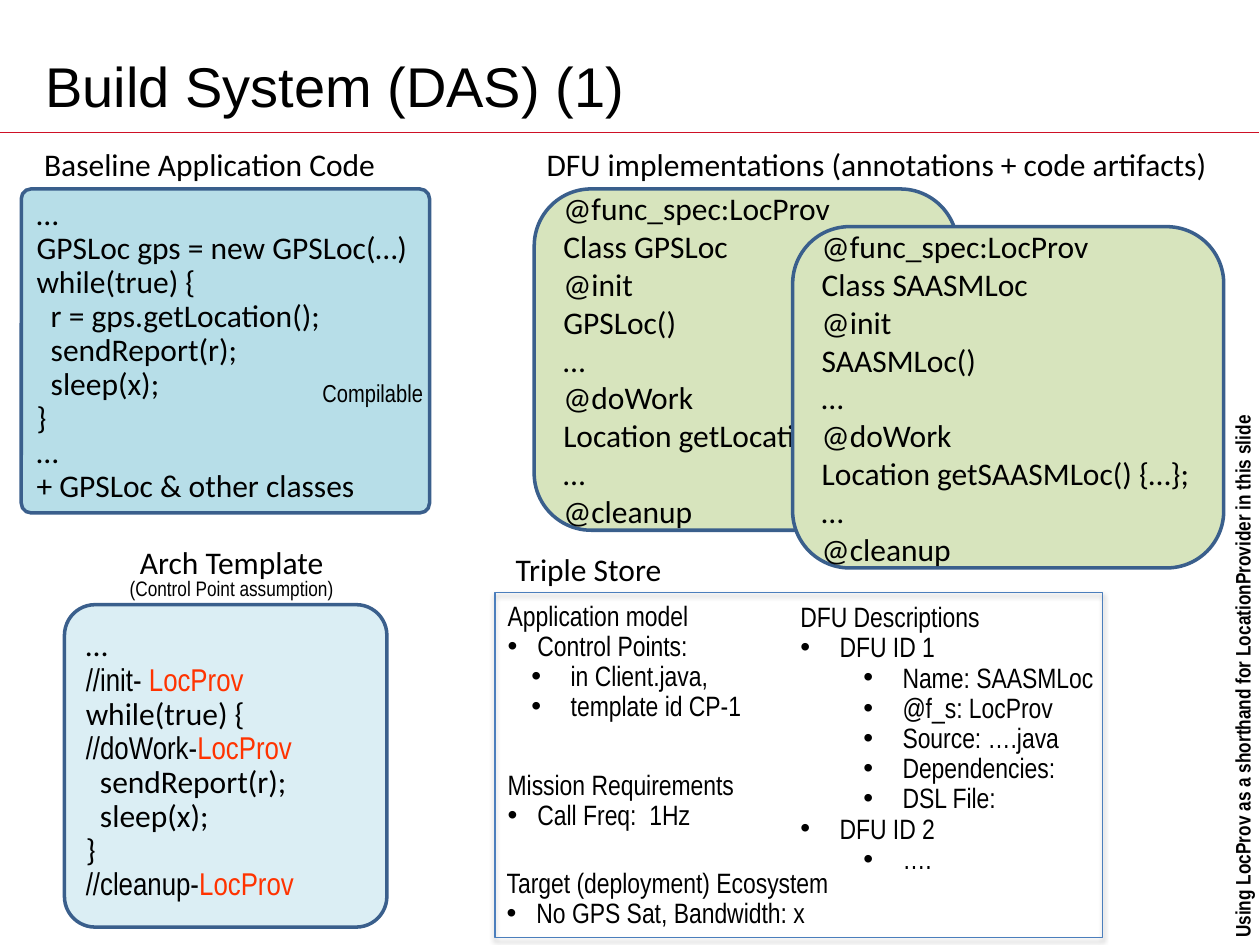
from dataclasses import dataclass

from lxml import etree
from pptx import Presentation
from pptx.dml.color import RGBColor
from pptx.enum.shapes import MSO_CONNECTOR, MSO_SHAPE
from pptx.enum.text import MSO_ANCHOR, MSO_AUTO_SIZE, PP_ALIGN
from pptx.oxml.ns import qn
from pptx.util import Cm, Pt

LEFT, CENTER = PP_ALIGN.LEFT, PP_ALIGN.CENTER
TOP, MIDDLE = MSO_ANCHOR.TOP, MSO_ANCHOR.MIDDLE
RECTANGLE, ROUNDED = MSO_SHAPE.RECTANGLE, MSO_SHAPE.ROUNDED_RECTANGLE
CALIBRI, NARROW = "Calibri", "Arial Narrow"
BLACK, HIGHLIGHT, OUTLINE = "000000", "FF3300", "3A5F8C"
GREEN = "D7E4BD"
BULLET_GAP = 0.79


@dataclass
class Run:
    text: str
    font: str = CALIBRI
    size: float = 18
    color: str = BLACK
    bold: bool = False


@dataclass
class Line:
    runs: list[Run]
    align: PP_ALIGN = LEFT
    spacing: float = 1.0
    level: int = 0
    margin: float | None = None  # text indent in cm; None means no bullet
    gap: float = BULLET_GAP


@dataclass
class Box:
    left: float
    top: float
    width: float
    height: float


@dataclass
class CodeBox:
    box: Box
    fill: str
    lines: list[Line]
    corner: float = 0.167


def rgb(value: str) -> RGBColor:
    return RGBColor.from_string(value)


def place(shape, box: Box) -> None:
    shape.left, shape.top = Cm(box.left), Cm(box.top)
    shape.width, shape.height = Cm(box.width), Cm(box.height)


def set_bullet(paragraph, line: Line, plain: bool) -> None:
    properties = paragraph._p.get_or_add_pPr()
    if line.margin is not None:
        properties.set("marL", str(Cm(line.margin)))
        properties.set("indent", str(-Cm(line.gap)))
        etree.SubElement(properties, qn("a:buFont"), typeface="Arial")
        etree.SubElement(properties, qn("a:buChar"), char="•")
    elif plain:
        properties.set("marL", "0")
        properties.set("indent", "0")
        etree.SubElement(properties, qn("a:buNone"))


def write(shape, lines: list[Line], anchor=TOP) -> None:
    frame = shape.text_frame
    frame.word_wrap = True
    frame.auto_size = MSO_AUTO_SIZE.NONE
    frame.vertical_anchor = anchor
    for index, line in enumerate(lines):
        paragraph = frame.add_paragraph() if index else frame.paragraphs[0]
        paragraph.level = line.level
        set_bullet(paragraph, line, shape.is_placeholder)
        paragraph.alignment = line.align
        paragraph.line_spacing = line.spacing
        paragraph.space_before = Pt(0)
        for item in line.runs:
            run = paragraph.add_run()
            run.text = item.text
            run.font.name, run.font.size = item.font, Pt(item.size)
            run.font.bold = item.bold
            run.font.color.rgb = rgb(item.color)


def add_label(slide, box: Box, lines: list[Line], rotation: float = 0) -> None:
    label = slide.shapes.add_textbox(0, 0, 0, 0)
    place(label, box)
    label.rotation = rotation
    write(label, lines)


def add_code_box(slide, code: CodeBox) -> None:
    shape = slide.shapes.add_shape(ROUNDED, 0, 0, 0, 0)
    place(shape, code.box)
    shape.adjustments[0] = code.corner
    shape.shadow.inherit = False
    shape.fill.solid()
    shape.fill.fore_color.rgb = rgb(code.fill)
    shape.line.color.rgb = rgb(OUTLINE)
    shape.line.width = Pt(2)
    write(shape, code.lines, MIDDLE)


def add_frame(slide, box: Box) -> None:
    frame = slide.shapes.add_shape(RECTANGLE, 0, 0, 0, 0)
    place(frame, box)
    frame.fill.background()
    frame.line.color.rgb = rgb("4B7EBC")
    frame.line.width = Pt(0.75)
    effects = etree.SubElement(frame._element.spPr, qn("a:effectLst"))
    shadow = etree.SubElement(effects, qn("a:outerShdw"), blurRad=str(Pt(3.1)),
                              dist=str(Pt(1.8)), dir="5400000", rotWithShape="0")
    color = etree.SubElement(shadow, qn("a:srgbClr"), val=BLACK)
    etree.SubElement(color, qn("a:alpha"), val="35000")


def plain(text: str, spacing: float = 1.0, align=LEFT) -> Line:
    return Line([Run(text)], align, spacing)


def marker(prefix: str) -> Line:
    return Line([Run(prefix, NARROW), Run("LocProv", NARROW, color=HIGHLIGHT)], spacing=0.9)


def entry(text: str, level: int = 0, margin: float | None = None, gap: float = BULLET_GAP) -> Line:
    return Line([Run(text, NARROW, 16)], LEFT, 0.9, level, margin, gap)


def top_entry(text: str) -> Line:
    return entry(text, 0, 0.6, 0.6)


def dfu_code(class_name: str, method: str) -> list[Line]:
    return [plain(text) for text in (
        "@func_spec:LocProv", f"Class {class_name}", "@init", f"{class_name}()", "…",
        "@doWork", f"Location {method}() {{…}};", "…", "@cleanup")]


BASELINE = ["…", "GPSLoc gps = new GPSLoc(…)", "while(true) {", "  r = gps.getLocation();",
            "  sendReport(r);", "  sleep(x);", "}", "…", "+ GPSLoc & other classes"]
ARCHITECTURE = [plain("…", 0.9), marker("//init- "), plain("while(true) {", 0.9),
                marker("//doWork-"), plain("  sendReport(r);", 0.9), plain("  sleep(x);", 0.9),
                plain("}", 0.9), marker("//cleanup-")]
CODE_BOXES = [
    CodeBox(Box(0.43, 3.81, 8.23, 6.53), "B7DEE8", [plain(text, 0.9) for text in BASELINE], 0.03),
    CodeBox(Box(10.77, 3.81, 8.53, 6.88), GREEN, dfu_code("GPSLoc", "getLocation")),
    CodeBox(Box(15.98, 4.57, 8.69, 6.88), GREEN, dfu_code("SAASMLoc", "getSAASMLoc")),
    CodeBox(Box(1.3, 12.19, 6.5, 6.5), "DBEEF4", ARCHITECTURE, 0.095),
]
DETAILS = ["Name: SAASMLoc", "@f_s: LocProv", "Source: ….java", "Dependencies:", "DSL File:"]
STORE_LISTS = [
    (Box(9.98, 12.01, 6.25, 2.72),
     [entry("Application model"), top_entry("Control Points:"),
      entry("in Client.java,", 2, 1.27), entry("template id CP-1", 2, 1.27)]),
    (Box(15.88, 12.04, 7.9, 5.79),
     [entry("DFU Descriptions"), entry("DFU ID 1", 0, 0.79),
      *[entry(text, 1, 2.06) for text in DETAILS],
      entry("DFU ID 2", 0, 0.79), entry("….", 1, 2.06)]),
    (Box(9.98, 15.42, 7.54, 1.5),
     [entry("Mission Requirements"), top_entry("Call Freq:  1Hz")]),
    (Box(9.96, 17.4, 8.66, 1.5),
     [entry("Target (deployment) Ecosystem"), top_entry("No GPS Sat, Bandwidth: x")]),
]
LABELS = [
    (Box(0.64, 2.79, 7.26, 1.02), [plain("Baseline Application Code")]),
    (Box(6.25, 7.49, 2.67, 0.86), [Line([Run("Compilable", NARROW, 14)])]),
    (Box(10.77, 2.79, 13.89, 1.02), [plain("DFU implementations (annotations + code artifacts)")]),
    (Box(1.09, 10.97, 7.16, 1.24),
     [plain("Arch Template", 0.8, CENTER),
      Line([Run("(Control Point assumption)", NARROW, 12)], CENTER, 0.8)]),
    (Box(8.84, 10.97, 6.05, 1.02), [plain("Triple Store", align=CENTER)]),
]


def main() -> None:
    presentation = Presentation()
    presentation.slide_width, presentation.slide_height = Cm(25.4), Cm(19.05)
    slide = presentation.slides.add_slide(presentation.slide_layouts[4])

    # Title and the rule below it
    title = slide.shapes.title
    place(title, Box(0.66, 0.76, 22.86, 1.9))
    write(title, [Line([Run("Build System (DAS) (1)", "Arial", 32)])], MIDDLE)
    rule = slide.shapes.add_connector(MSO_CONNECTOR.STRAIGHT, 0, Cm(2.67), Cm(25.37), Cm(2.67))
    rule.line.color.rgb = rgb("CE1126")
    rule.line.width = Pt(1)
    etree.SubElement(rule._element.spPr, qn("a:effectLst"))

    # Code boxes and their labels
    for code in CODE_BOXES:
        add_code_box(slide, code)
    for box, lines in LABELS:
        add_label(slide, box, lines)

    # Triple store: four lists inside a frame
    for index, (box, lines) in enumerate(STORE_LISTS, start=1):
        body = slide.placeholders[index]
        place(body, box)
        write(body, lines)
    add_frame(slide, Box(9.98, 11.94, 12.24, 6.96))

    # Side note
    note = "Using LocProv as a shorthand for LocationProvider in this slide"
    add_label(slide, Box(19.43, 13.16, 11.23, 0.76), [Line([Run(note, NARROW, 12, bold=True)])], 270)

    presentation.save("out.pptx")


if __name__ == "__main__":
    main()
